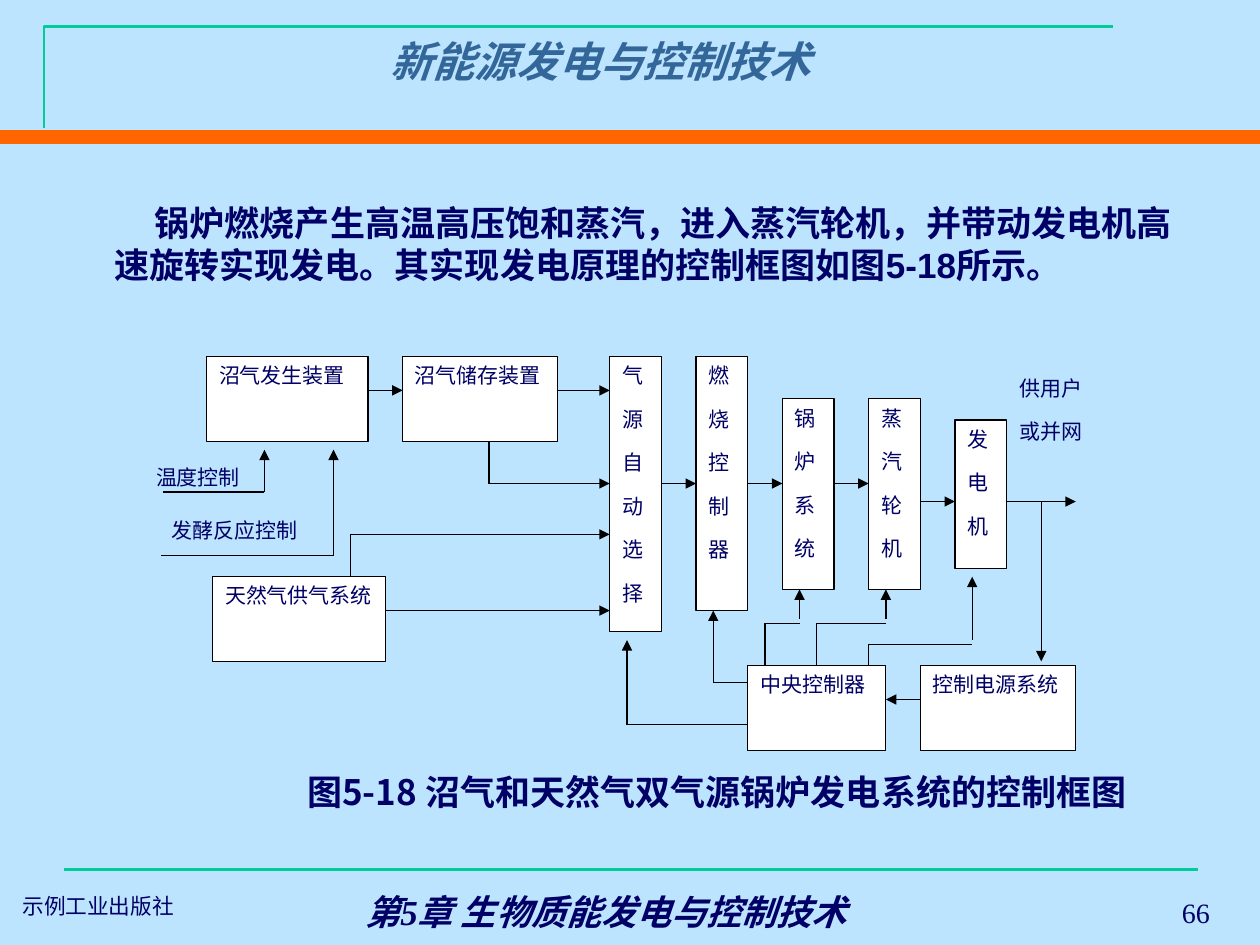
from dataclasses import dataclass
from typing import Any

from lxml.etree import SubElement
from pptx import Presentation
from pptx.dml.color import RGBColor
from pptx.enum.shapes import MSO_CONNECTOR, MSO_SHAPE
from pptx.enum.text import MSO_ANCHOR, PP_ALIGN
from pptx.oxml.ns import qn
from pptx.util import Inches, Pt

COLORS = {
    "background": "BDE4FF",
    "band": "FF6600",
    "rule": "00CC99",
    "title": "336699",
    "text": "000066",
    "box": "FFFFFF",
    "line": "000000",
}
SERIF, SANS, CJK = "Times New Roman", "Arial", "Noto Sans CJK SC"
WIDTH, HEIGHT = 10, 7.5
GRID_LEFT, GRID_TOP = 11.4, 37.73
COLUMN, ROW = 1.37, 2.24


@dataclass
class DiagramSlide:
    slide: Any

    def color(self, name):
        return RGBColor.from_string(COLORS[name])

    def point(self, x, y):
        return Inches(WIDTH * x / 100), Inches(HEIGHT * y / 100)

    def grid(self, column, row):
        return GRID_LEFT + column * COLUMN, GRID_TOP + row * ROW

    def grid_area(self, column, row, columns, rows):
        return *self.grid(column, row), columns * COLUMN, rows * ROW

    def set_text(self, shape, text, size, font, color="text", bold=False, italic=False,
                 align=PP_ALIGN.LEFT, anchor=MSO_ANCHOR.TOP, after=0):
        frame = shape.text_frame
        frame.word_wrap = True
        frame.vertical_anchor = anchor
        frame.text = text
        for paragraph in frame.paragraphs:
            paragraph.alignment = align
            paragraph.line_spacing = Pt(size * 1.2)
            paragraph.space_before = Pt(0)
            paragraph.space_after = Pt(after)
            paragraph.font.size = Pt(size)
            paragraph.font.name = font
            paragraph.font.bold = bold
            paragraph.font.italic = italic
            paragraph.font.color.rgb = self.color(color)
        return shape

    def title(self, text, area):
        shape = self.slide.shapes.title
        shape.left, shape.top = self.point(*area[:2])
        shape.width, shape.height = self.point(*area[2:])
        self.set_text(shape, text, 24, CJK, "title", True, True, PP_ALIGN.CENTER)

    def text(self, text, area, size, font, **style):
        shape = self.slide.shapes.add_textbox(*self.point(*area[:2]), *self.point(*area[2:]))
        return self.set_text(shape, text, size, font, **style)

    def label(self, text, *cells):
        self.text(text, self.grid_area(*cells), 12, SERIF, align=PP_ALIGN.JUSTIFY, after=10.5)

    def box(self, text, *cells, font=SERIF):
        area = self.grid_area(*cells)
        shape = self.slide.shapes.add_shape(
            MSO_SHAPE.RECTANGLE, *self.point(*area[:2]), *self.point(*area[2:]))
        shape.shadow.inherit = False
        shape.fill.solid()
        shape.fill.fore_color.rgb = self.color("box")
        shape.line.color.rgb = self.color("line")
        shape.line.width = Pt(0.75)
        return self.set_text(shape, text, 12, font, align=PP_ALIGN.JUSTIFY, after=10.5)

    def column_box(self, text, *cells):
        return self.box("\n".join(text), *cells, font=SANS)

    def line(self, start, end, color="line", width=0.75, arrow=False):
        connector = self.slide.shapes.add_connector(
            MSO_CONNECTOR.STRAIGHT, *self.point(*start), *self.point(*end))
        connector.line.color.rgb = self.color(color)
        connector.line.width = Pt(width)
        properties = connector._element.spPr
        if arrow:
            SubElement(properties.find(qn("a:ln")), qn("a:tailEnd"), type="triangle")
        SubElement(properties, qn("a:effectLst"))
        return connector

    def route(self, *cells):
        for start, end in zip(cells, cells[1:]):
            self.line(self.grid(*start), self.grid(*end))

    def arrow(self, start, end):
        return self.line(self.grid(*start), self.grid(*end), arrow=True)

    def corner(self, *points):
        start, *others = [self.point(*point) for point in points]
        builder = self.slide.shapes.build_freeform(*start)
        builder.add_line_segments(others, close=False)
        shape = builder.convert_to_shape()
        shape.shadow.inherit = False
        shape.fill.background()
        shape.line.color.rgb = self.color("rule")
        shape.line.width = Pt(1.5)


def add_page_frame(page):
    page.line((0, 14.5), (100, 14.5), "band", 8)
    page.title("新能源发电与控制技术", (16.4, 3.07, 62.5, 8.4))
    page.line((5.1, 92), (95.1, 92), "rule", 1.5)
    page.corner((3.5, 13.6), (3.5, 2.8), (88.3, 2.8))
    page.text("第5章 生物质能发电与控制技术", (24.2, 92.67, 47.8, 6.67), 20, SERIF,
              bold=True, italic=True, align=PP_ALIGN.CENTER, anchor=MSO_ANCHOR.BOTTOM)
    page.text("66", (80.5, 92.27, 16.5, 6.67), 16, SERIF,
              align=PP_ALIGN.RIGHT, anchor=MSO_ANCHOR.BOTTOM)
    page.text("示例工业出版社", (0.8, 93.73, 18.8, 4.13), 12.4, CJK, anchor=MSO_ANCHOR.BOTTOM)


def add_body(page):
    body = page.text(
        "锅炉燃烧产生高温高压饱和蒸汽，进入蒸汽轮机，并带动发电机高速旋转实现发电。"
        "其实现发电原理的控制框图如图5-18所示。",
        (4.3, 20.67, 90.8, 10.27), 20, SANS, bold=True, after=17.5)
    properties = body.text_frame.paragraphs[0]._p.get_or_add_pPr()
    properties.set("marL", str(Inches(0.38)))
    properties.set("indent", str(Inches(0.32)))
    page.text("图5-18 沼气和天然气双气源锅炉发电系统的控制框图", (23.4, 80.8, 71.5, 5.87),
              20, CJK, bold=True, anchor=MSO_ANCHOR.MIDDLE)


def add_diagram(page):
    page.box("沼气发生装置", 3.65, 0, 9.35, 4)
    page.box("沼气储存装置", 15, 0, 9, 4)
    page.box("天然气供气系统", 4, 10.4, 10, 4)
    page.box("中央控制器", 35, 14.6, 8, 4)
    page.box("控制电源系统", 45, 14.6, 9, 4)

    page.column_box("气源自动选择", 27, 0, 3, 13)
    burner = page.column_box("燃烧控制器", 32, 0, 3, 12)
    page.column_box("锅炉系统", 37, 2, 3, 9)
    page.column_box("蒸汽轮机", 42, 2, 3, 9)
    page.column_box("发电机", 47, 3, 3, 7)

    page.label("温度控制", 0, 4.8, 7, 2.2)
    page.label("发酵反应控制", 0.9, 7.3, 10, 2)
    page.label("供用户\n或并网", 50, 0.6, 6, 5)

    page.arrow((30, 6), (32, 6)).end_connect(burner, 1)
    page.arrow((35, 6), (37, 6)).begin_connect(burner, 3)
    for start, end in (
        ((13, 1.6), (15, 1.6)), ((24, 1.6), (27, 1.6)), ((20, 6), (27, 6)),
        ((12, 8.4), (27, 8.4)), ((14, 12), (27, 12)), ((40, 6), (42, 6)),
        ((45, 6.85), (47, 6.85)), ((50, 6.85), (54, 6.85)), ((52, 6.85), (52, 14.4)),
        ((45, 16.2), (43, 16.2)), ((7, 6.4), (7, 4.4)), ((11, 9.4), (11, 4.4)),
        ((28, 17.4), (28, 13.4)), ((33, 15.4), (33, 12)), ((38, 12.4), (38, 11)),
        ((43, 12.4), (43, 11)), ((48, 13.4), (48, 10.4)),
    ):
        page.arrow(start, end)

    page.route((20, 4), (20, 6))
    page.route((12, 10.4), (12, 8.4))
    page.route((7, 6.4), (1.15, 6.4))
    page.route((11, 9.4), (1, 9.4))
    page.route((35, 17.4), (28, 17.4))
    page.route((35, 15.4), (33, 15.4))
    for start, end, row in ((36, 38, 12.6), (39, 43, 12.6), (42, 48, 13.6)):
        page.route((start, 14.6), (start, row), (end, row))


def main():
    presentation = Presentation()
    presentation.slide_width = Inches(WIDTH)
    presentation.slide_height = Inches(HEIGHT)
    page = DiagramSlide(presentation.slides.add_slide(presentation.slide_layouts[5]))
    page.slide.background.fill.solid()
    page.slide.background.fill.fore_color.rgb = page.color("background")
    add_page_frame(page)
    add_body(page)
    add_diagram(page)
    presentation.save("out.pptx")


if __name__ == "__main__":
    main()
